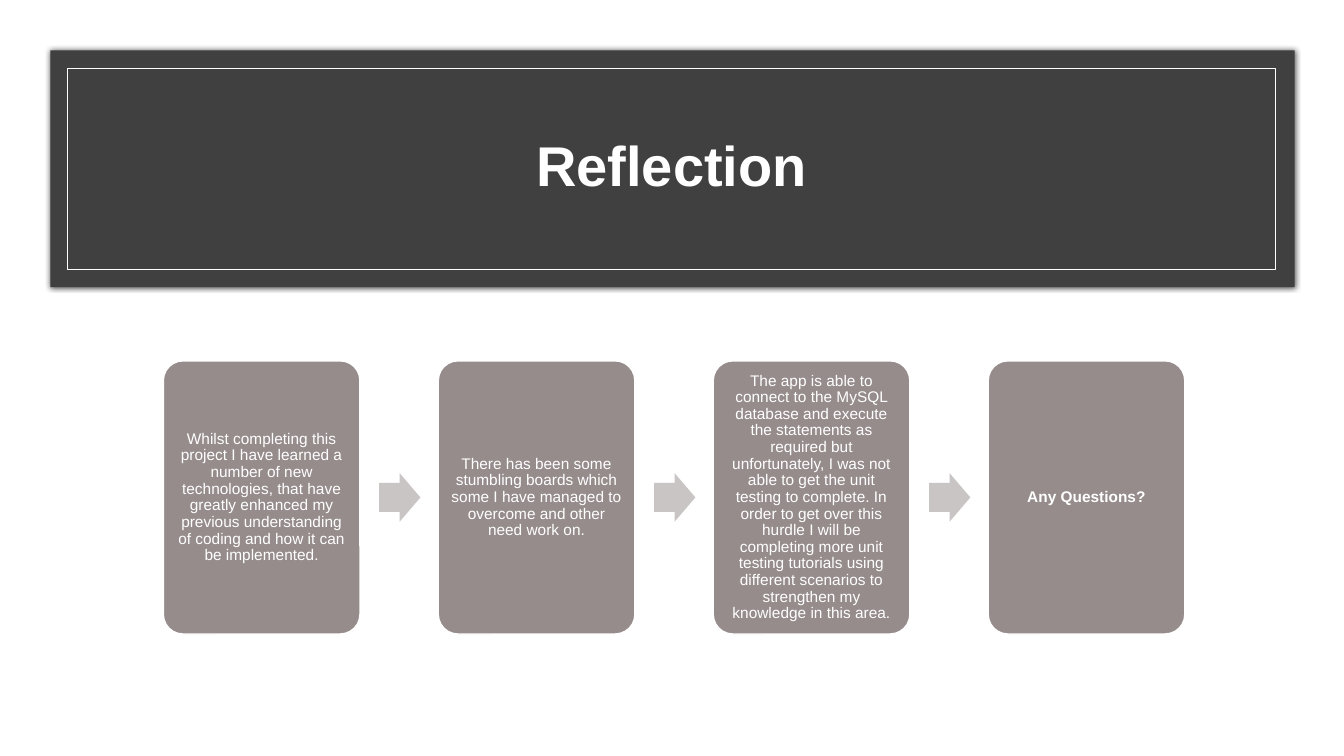
import pptx
import pptx.util
import pptx.dml.color
import pptx.enum.shapes
import pptx.enum.text
import pptx.oxml
import pptx.oxml.ns

Inches = pptx.util.Inches
Pt = pptx.util.Pt
SHAPES = pptx.enum.shapes.MSO_SHAPE

TITLE = "Reflection"
STEPS = [
    ("Whilst completing this project I have learned a number of new technologies, "
     "that have greatly enhanced my previous understanding of coding and how it can "
     "be implemented.", False),
    ("There has been some stumbling boards which some I have managed to overcome "
     "and other need work on.", False),
    ("The app is able to connect to the MySQL database and execute the statements as "
     "required but unfortunately, I was not able to get the unit testing to complete. "
     "In order to get over this hurdle I will be completing more unit testing tutorials "
     "using different scenarios to strengthen my knowledge in this area.", False),
    ("Any Questions?", True),
]
COLORS = {"banner": "404040", "white": "FFFFFF", "card": "968C8C", "arrow": "C9C5C5"}
FONT = "Arial"

CARD_LEFT, CARD_TOP, CARD_WIDTH, CARD_HEIGHT = 1.62, 3.58, 1.95, 2.71
CARD_PITCH = 2.727
ARROW_OFFSET, ARROW_WIDTH, ARROW_HEIGHT = 2.14, 0.41, 0.48
ARROW_TOP = CARD_TOP + (CARD_HEIGHT - ARROW_HEIGHT) / 2


def color(name):
    return pptx.dml.color.RGBColor.from_string(COLORS[name])


def add_panel(page, kind, place, fill=None, line=None, line_width=1, adjust=()):
    """Add a preset shape without shadow; no fill or line unless named."""
    panel = page.shapes.add_shape(kind, *map(Inches, place))
    panel.shadow.inherit = False
    if fill:
        panel.fill.solid()
        panel.fill.fore_color.rgb = color(fill)
    else:
        panel.fill.background()
    if line:
        panel.line.color.rgb = color(line)
        panel.line.width = Pt(line_width)
    else:
        panel.line.fill.background()
    for index, value in enumerate(adjust):
        panel.adjustments[index] = value
    return panel


def add_glow_shadow(panel):
    effects = panel._element.spPr.find(pptx.oxml.ns.qn("a:effectLst"))
    effects.append(pptx.oxml.parse_xml(
        f'<a:outerShdw {pptx.oxml.ns.nsdecls("a")} blurRad="{Pt(4)}" dist="0" dir="0">'
        '<a:srgbClr val="000000"><a:alpha val="66000"/></a:srgbClr></a:outerShdw>'))


def write_text(shape, text, size, bold):
    frame = shape.text_frame
    frame.word_wrap = True
    frame.auto_size = pptx.enum.text.MSO_AUTO_SIZE.NONE
    frame.vertical_anchor = pptx.enum.text.MSO_ANCHOR.MIDDLE
    frame.text = text
    para = frame.paragraphs[0]
    para.alignment = pptx.enum.text.PP_ALIGN.CENTER
    para.line_spacing = 0.9
    para.space_before = Pt(0)
    para.font.name = FONT
    para.font.size = Pt(size)
    para.font.bold = bold
    para.font.color.rgb = color("white")
    return frame


def add_banner(page):
    banner = add_panel(page, SHAPES.RECTANGLE, (0.5, 0.5, 12.34, 2.35), fill="banner")
    add_glow_shadow(banner)
    add_panel(page, SHAPES.RECTANGLE, (0.67, 0.68, 11.98, 1.99),
              line="white", line_width=0.5)
    title = page.shapes.title
    title.left, title.top, title.width, title.height = map(Inches, (1.16, 0.92, 11, 1.5))
    write_text(title, TITLE, 40, True)
    page.shapes._spTree.append(title._element)  # bring the title in front of the banner


def add_steps(page):
    for index, (text, bold) in enumerate(STEPS):
        left = CARD_LEFT + index * CARD_PITCH
        card = add_panel(page, SHAPES.ROUNDED_RECTANGLE,
                         (left, CARD_TOP, CARD_WIDTH, CARD_HEIGHT),
                         fill="card", line="white", adjust=(0.1,))
        frame = write_text(card, text, 11, bold)
        frame.margin_left = frame.margin_right = Inches(0.05)
        frame.margin_top = frame.margin_bottom = Inches(0.05)
        if index < len(STEPS) - 1:
            add_panel(page, SHAPES.RIGHT_ARROW,
                      (left + ARROW_OFFSET, ARROW_TOP, ARROW_WIDTH, ARROW_HEIGHT),
                      fill="arrow", adjust=(0.6, 0.5))


def main():
    deck = pptx.Presentation()
    deck.slide_width, deck.slide_height = Inches(13.33), Inches(7.5)
    page = deck.slides.add_slide(deck.slide_layouts.get_by_name("Title Only"))
    add_banner(page)
    add_steps(page)
    deck.save("out.pptx")


if __name__ == "__main__":
    main()
